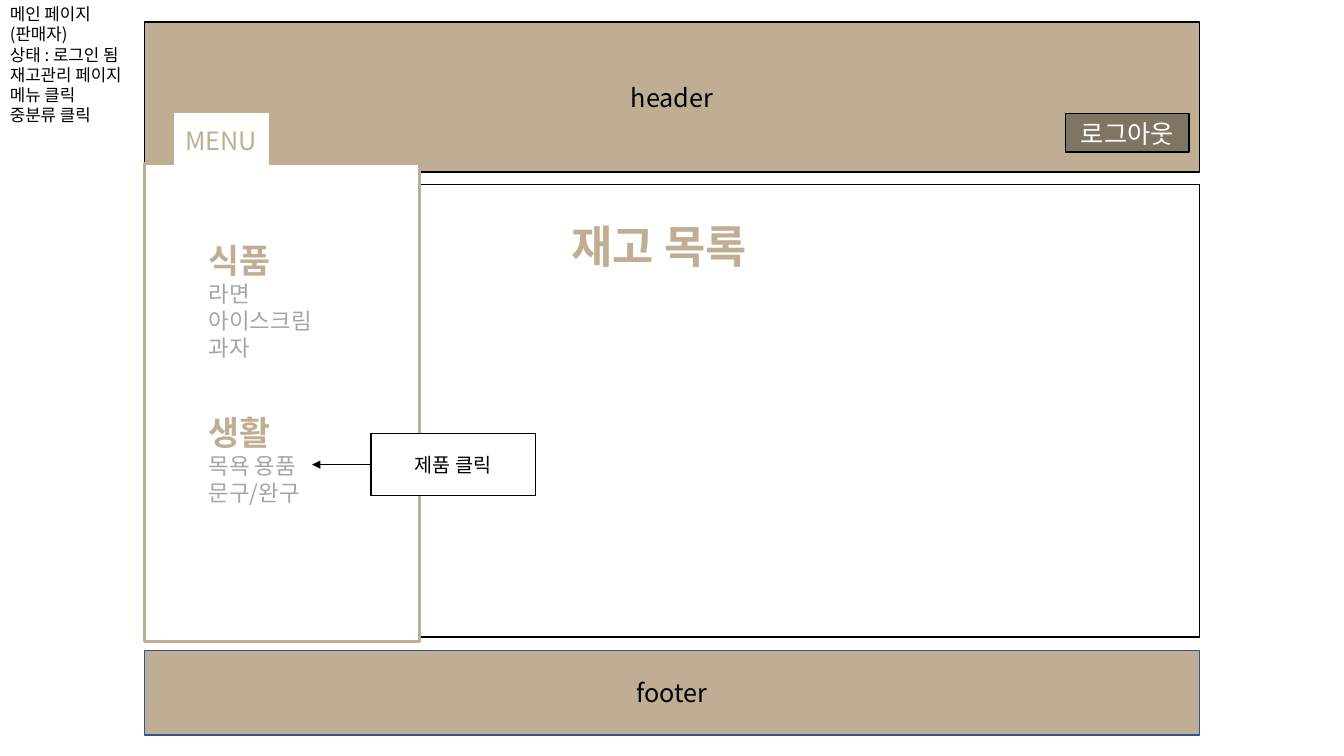
from lxml.etree import SubElement
from pptx import Presentation
from pptx.dml.color import RGBColor
from pptx.enum.shapes import MSO_CONNECTOR, MSO_SHAPE
from pptx.enum.text import MSO_ANCHOR, MSO_AUTO_SIZE, PP_ALIGN
from pptx.oxml.ns import qn
from pptx.util import Pt

COLORS = {
    "sand": "BFAE93",
    "umber": "807462",
    "white": "FFFFFF",
    "black": "000000",
    "gray": "A5A5A5",
    "navy": "31538F",
}
KOREAN = "Noto Sans CJK KR"


def color(name):
    return RGBColor.from_string(COLORS[name])


def add_text(paragraph, wording, size, ink, bold=False, font=KOREAN):
    run = paragraph.add_run()
    run.text = wording
    run.font.size = Pt(size)
    run.font.bold = bold
    run.font.color.rgb = color(ink)
    run.font.name = font
    SubElement(run.font._element, qn("a:ea"), typeface=KOREAN)


def add_panel(slide, box, fill, line, weight=1, label="", size=18, ink="black", font=KOREAN):
    panel = slide.shapes.add_shape(MSO_SHAPE.RECTANGLE, *map(Pt, box))
    panel.shadow.inherit = False
    panel.fill.solid()
    panel.fill.fore_color.rgb = color(fill)
    panel.line.color.rgb = color(line)
    panel.line.width = Pt(weight)
    if label:
        panel.text_frame.vertical_anchor = MSO_ANCHOR.MIDDLE
        paragraph = panel.text_frame.paragraphs[0]
        paragraph.alignment = PP_ALIGN.CENTER
        add_text(paragraph, label, size, ink, font=font)


def write_lines(frame, lines):
    frame.word_wrap = True
    frame.auto_size = MSO_AUTO_SIZE.NONE
    frame.vertical_anchor = MSO_ANCHOR.TOP
    for number, (wording, size, ink, bold) in enumerate(lines):
        paragraph = frame.add_paragraph() if number else frame.paragraphs[0]
        paragraph.alignment = PP_ALIGN.LEFT
        paragraph.space_before = Pt(0)
        properties = paragraph._p.get_or_add_pPr()
        properties.set("marL", "0")
        properties.set("indent", "0")
        SubElement(properties, qn("a:buNone"))
        add_text(paragraph, wording, size, ink, bold)


def fill_placeholder(placeholder, box, lines):
    placeholder.left, placeholder.top, placeholder.width, placeholder.height = map(Pt, box)
    placeholder.element.getparent().append(placeholder.element)
    write_lines(placeholder.text_frame, lines)


def build_state_note(slide, box):
    note = slide.shapes.add_textbox(*map(Pt, box))
    lines = ["메인 페이지", "(판매자)", "상태 : 로그인 됨", "재고관리 페이지", "메뉴 클릭", "중분류 클릭"]
    write_lines(note.text_frame, [(line, 12, "black", False) for line in lines])


def build_content(slide, box):
    left, top, _, _ = box
    add_panel(slide, box, "white", "black")
    fill_placeholder(slide.shapes.title, (left + 298, top + 21, 158, 46),
                     [("재고 목록", 32, "sand", True)])


def build_header(slide, box):
    left, top, width, _ = box
    add_panel(slide, box, "sand", "black", label="header")
    add_panel(slide, (left + width - 96, top + 65.5, 88.5, 27.5), "umber", "black",
              label="로그아웃", ink="white")


def build_menu(slide, box):
    left, top, width, height = box
    add_panel(slide, box, "white", "sand", 2.25)
    categories = [
        (51, "식품", ["라면", "아이스크림", "과자"]),
        (174, "생활", ["목욕 용품", "문구/완구"]),
    ]
    lists = list(slide.placeholders)[1:]
    lists = sorted(lists, key=lambda item: item.placeholder_format.idx)
    for placeholder, (offset, category, products) in zip(lists, categories):
        lines = [(category, 24, "sand", True)]
        lines += [(product, 16, "gray", False) for product in products]
        fill_placeholder(placeholder, (left + 39, top + offset, 118, 36 + 19.5 * len(products)), lines)
    add_panel(slide, (left + 21.5, top - 35.5, 67, 38.5), "white", "white",
              label="MENU", ink="sand")


def build_click_callout(slide, box):
    left, top, _, height = box
    middle = top + height / 2
    add_panel(slide, box, "white", "black", 0.75, "제품 클릭", 14, font="Arial")
    arrow = slide.shapes.add_connector(
        MSO_CONNECTOR.STRAIGHT, Pt(left), Pt(middle), Pt(left - 42), Pt(middle))
    arrow.line.color.rgb = color("black")
    arrow.line.width = Pt(0.75)
    SubElement(arrow.line._get_or_add_ln(), qn("a:tailEnd"), type="triangle")
    SubElement(arrow._element.spPr, qn("a:effectLst"))


def build_inventory_page(slide):
    left, width = 103, 754
    add_panel(slide, (left, 464.5, width, 60.5), "sand", "navy", label="footer")
    build_state_note(slide, (0, -0.7, 103, 94))
    build_content(slide, (left, 131.75, width, 323.25))
    build_header(slide, (left, 15.75, width, 107.25))
    build_menu(slide, (left, 116.75, 196.5, 341.25))
    build_click_callout(slide, (265, 309.6, 117.5, 44.6))


def main():
    presentation = Presentation()
    presentation.slide_width = Pt(960)
    presentation.slide_height = Pt(540)
    slide = presentation.slides.add_slide(presentation.slide_layouts[3])
    build_inventory_page(slide)
    presentation.save("out.pptx")


if __name__ == "__main__":
    main()
